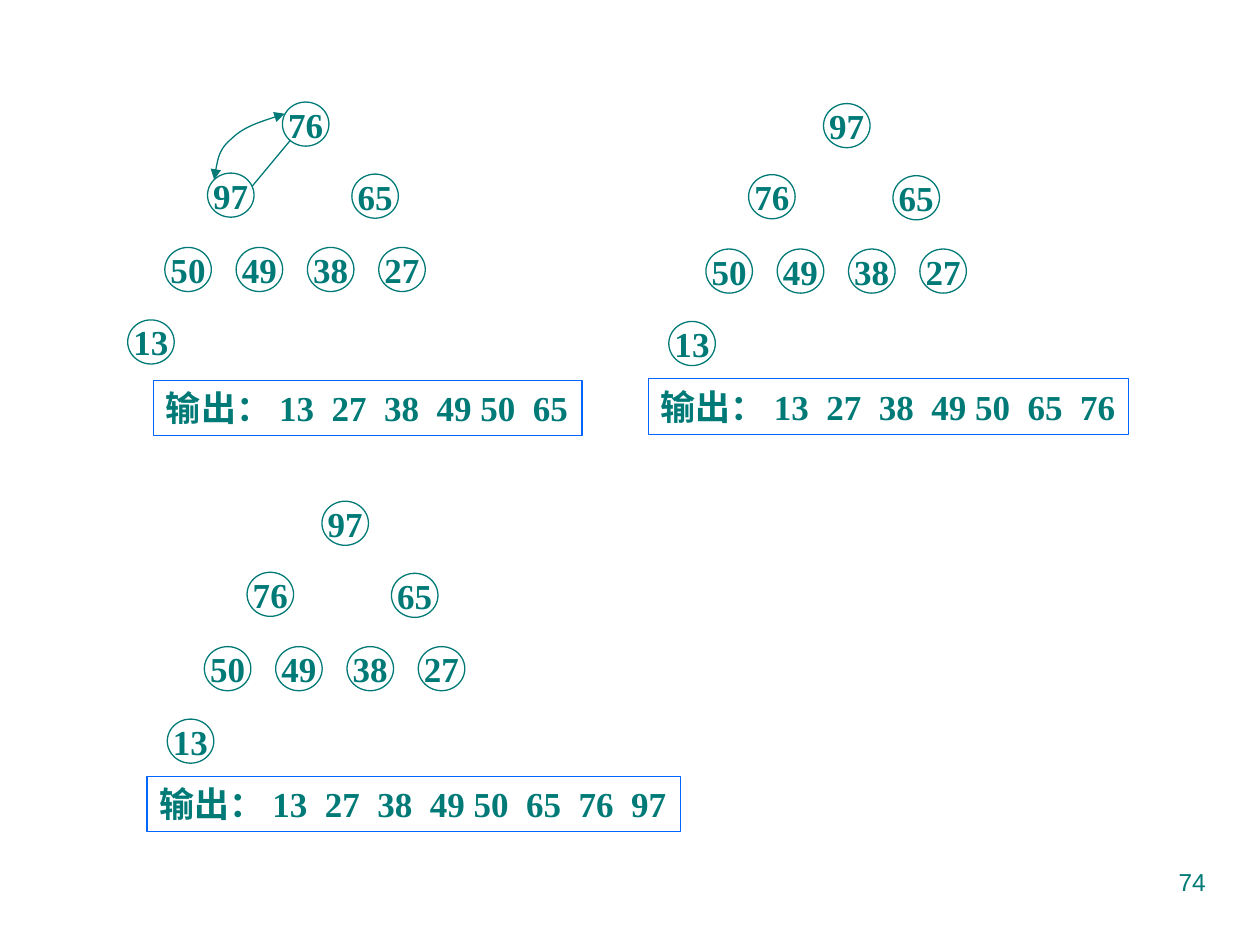
from pptx import Presentation
from pptx.dml.color import RGBColor
from pptx.enum.shapes import MSO_CONNECTOR, MSO_SHAPE
from pptx.enum.text import MSO_ANCHOR, PP_ALIGN
from pptx.oxml.ns import qn
from pptx.util import Pt
from lxml import etree

OVAL, RECTANGLE = MSO_SHAPE.OVAL, MSO_SHAPE.RECTANGLE
STRAIGHT = MSO_CONNECTOR.STRAIGHT
TOP, MIDDLE = MSO_ANCHOR.TOP, MSO_ANCHOR.MIDDLE
LEFT, CENTER, RIGHT = PP_ALIGN.LEFT, PP_ALIGN.CENTER, PP_ALIGN.RIGHT
TEAL, BLUE = "007A77", "0066FF"

# Content: heap in level order, sorted output, root corner, output box (left, top, width)
STEPS = [
    {"heap": [76, 97, 65, 50, 49, 38, 27, 13], "output": [13, 27, 38, 49, 50, 65],
     "root": (161.4, 58.3), "box": (87.8, 217.4, 244.8)},
    {"heap": [97, 76, 65, 50, 49, 38, 27, 13], "output": [13, 27, 38, 49, 50, 65, 76],
     "root": (470.6, 59.2), "box": (370.5, 216.5, 274.6)},
    {"heap": [97, 76, 65, 50, 49, 38, 27, 13], "output": [13, 27, 38, 49, 50, 65, 76, 97],
     "root": (184, 286.4), "box": (84, 443.6, 304.8)},
]
OUTPUT_LABEL = "输出："
PAGE_NUMBER = "74"

# Geometry in points
NODE_WIDTH, NODE_HEIGHT = 26.6, 25.2
BOX_HEIGHT = 31.7
LEAF_STEP = 40.75
NODE_OFFSETS = [(0, 0), (-42.8, 40.6), (39.7, 41.2)]
NODE_OFFSETS += [(-67.2 + LEAF_STEP * column, 83.1) for column in range(4)]
NODE_OFFSETS.append((-88.4, 124.5))
TAB_STOPS = [64.6, 94.6, 124.6, 154.6, 179.6, 209.6, 239.6, 269.6]
EDGE = (166, 80.1, 144.2, 106.3)
SWAP_CURVE = [(162.7, 65), (150.5, 69.1), (139, 72.7), (132.5, 79.2),
              (125.3, 85), (123.8, 93.6), (122.4, 102.7)]


def color(hex_code):
    return RGBColor.from_string(hex_code)


def set_outline(shape, hex_code):
    shape.line.color.rgb = color(hex_code)
    shape.line.width = Pt(0.75)


def set_text(shape, text, align, anchor, size=20, font="Times New Roman", bold=True, tabs=()):
    frame = shape.text_frame
    frame.vertical_anchor = anchor
    frame.text = text
    paragraph = frame.paragraphs[0]
    paragraph.alignment = align
    if tabs:
        tab_list = etree.SubElement(paragraph._p.get_or_add_pPr(), qn("a:tabLst"))
        for stop in tabs:
            etree.SubElement(tab_list, qn("a:tab"), pos=str(Pt(stop)), algn="l")
    for run in paragraph.runs:
        run.font.name = font
        run.font.size = Pt(size)
        run.font.bold = bold
        run.font.color.rgb = color(TEAL)


def add_outlined(shapes, kind, left, top, width, height, hex_code):
    shape = shapes.add_shape(kind, Pt(left), Pt(top), Pt(width), Pt(height))
    shape.shadow.inherit = False
    shape.fill.background()
    set_outline(shape, hex_code)
    return shape


def add_step(slide, step):
    shapes = slide.shapes.add_group_shape().shapes
    root_left, root_top = step["root"]
    for value, (dx, dy) in zip(step["heap"], NODE_OFFSETS):
        node = add_outlined(shapes, OVAL, root_left + dx, root_top + dy,
                            NODE_WIDTH, NODE_HEIGHT, TEAL)
        set_text(node, str(value), CENTER, MIDDLE)
        node.text_frame.word_wrap = False
    box = add_outlined(shapes, RECTANGLE, *step["box"], BOX_HEIGHT, BLUE)
    text = "\t".join([OUTPUT_LABEL, *map(str, step["output"])])
    set_text(box, text, LEFT, TOP, tabs=TAB_STOPS[:len(step["output"])])
    box.text_frame.word_wrap = True
    box.text_frame.margin_right = 0
    return shapes


def add_swap_curve(slide):
    points = [(Pt(x), Pt(y)) for x, y in SWAP_CURVE]
    builder = slide.shapes.build_freeform(*points[0])
    builder.add_line_segments(points[1:], close=False)
    curve = builder.convert_to_shape()
    curve.shadow.inherit = False
    curve.fill.background()
    set_outline(curve, TEAL)
    # Every three straight segments become one cubic curve
    segments = curve._element.xpath(".//a:lnTo")
    for start in range(0, len(segments), 3):
        cubic = etree.Element(qn("a:cubicBezTo"))
        segments[start].addprevious(cubic)
        for segment in segments[start:start + 3]:
            cubic.append(segment[0])
            segment.getparent().remove(segment)
    # Arrowheads at both ends
    outline = curve.line._get_or_add_ln()
    for end in ("a:headEnd", "a:tailEnd"):
        etree.SubElement(outline, qn(end), type="triangle")


def main():
    presentation = Presentation()
    presentation.slide_width, presentation.slide_height = Pt(720), Pt(540)
    slide = presentation.slides.add_slide(presentation.slide_layouts[6])

    # Heaps with their output so far
    groups = [add_step(slide, step) for step in STEPS]

    # Edge and swap arrow between the first heap's root and left child
    edge = groups[0].add_connector(STRAIGHT, *map(Pt, EDGE))
    set_outline(edge, TEAL)
    etree.SubElement(edge._element.spPr, qn("a:effectLst"))
    add_swap_curve(slide)

    # Page number
    number = slide.shapes.add_textbox(Pt(516.2), Pt(491.8), Pt(180), Pt(37.4))
    set_text(number, PAGE_NUMBER, RIGHT, TOP, size=14, font="Arial", bold=False)
    number.text_frame.word_wrap = True

    presentation.save("out.pptx")


if __name__ == "__main__":
    main()
